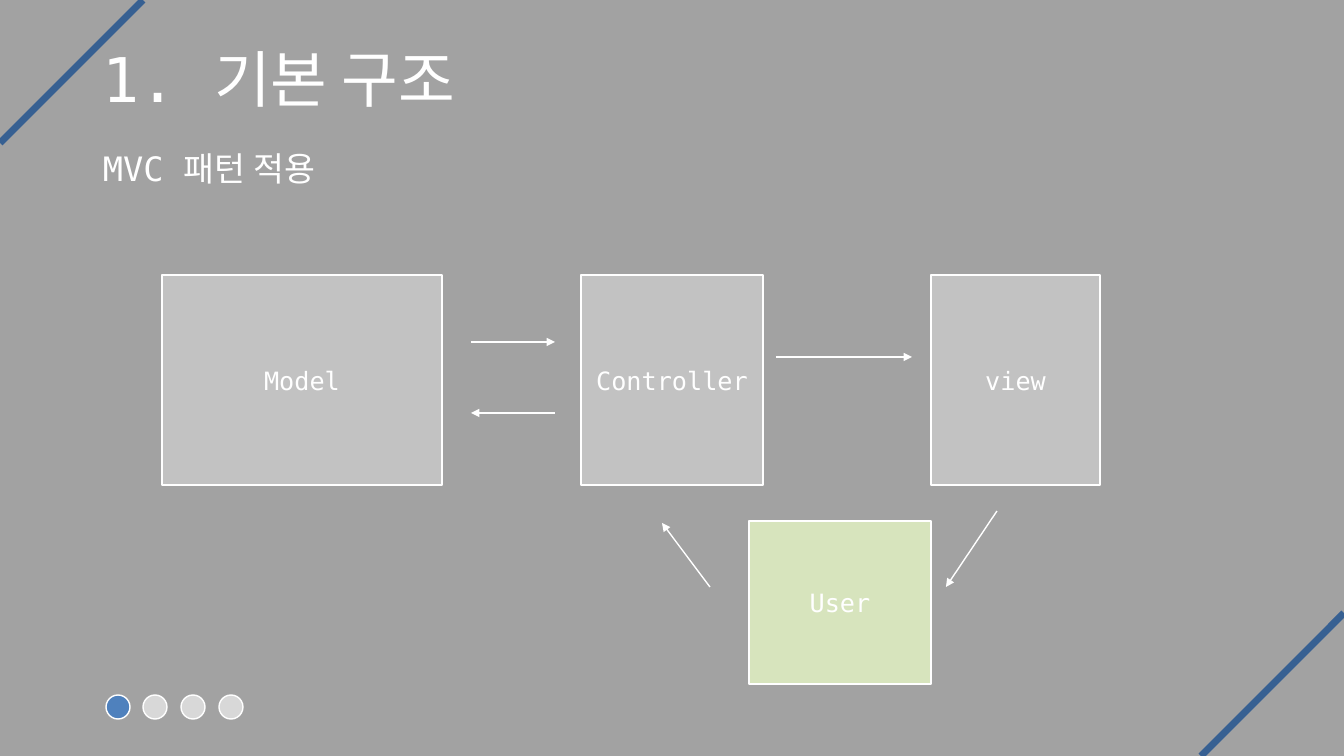
from lxml.etree import SubElement
from pptx import Presentation
from pptx.dml.color import RGBColor
from pptx.enum.shapes import MSO_CONNECTOR, MSO_SHAPE
from pptx.enum.text import MSO_ANCHOR, PP_ALIGN
from pptx.oxml.ns import qn
from pptx.util import Emu, Pt

W, H = 1344, 756
FONT = "DejaVu Sans Mono"
WHITE, GRAY, GREEN = "FFFFFF", "C2C2C2", "D7E4BD"
BACKGROUND, CORNER_BLUE = "A2A2A2", "376092"
DOT_ON, DOT_OFF = "4F81BD", "D8D8D8"

TITLE = ("1. 기본 구조", (93, 40, 1159, 86), 44, MSO_ANCHOR.MIDDLE, 0.9)
SUBTITLE = ("MVC 패턴 적용", (93, 143, 463, 50), 24, MSO_ANCHOR.TOP, 1.0)

BOXES = [
    ("Model", (162, 275, 280, 210), GRAY),
    ("Controller", (581, 275, 182, 210), GRAY),
    ("view", (931, 275, 169, 210), GRAY),
    ("User", (749, 521, 182, 163), GREEN),
]
ARROWS = [
    ((471, 342), (555, 342)),
    ((555, 413), (471, 413)),
    ((776, 357), (912, 357)),
    ((997, 511), (946, 587)),
    ((710, 587), (662, 523)),
]
CORNER = 143
CORNER_LINES = [((0, CORNER), (CORNER, 0)), ((W - CORNER, H), (W, H - CORNER))]
DOT_COUNT, DOT_LEFT, DOT_TOP, DOT_SIZE, DOT_SPAN = 4, 106, 695, 24, 113


def px(n):
    return Emu(round(n * 12192000 / W))


def rgb(color):
    return RGBColor.from_string(color)


def add_text(tf, text, size, anchor, align):
    tf.word_wrap = True
    tf.vertical_anchor = anchor
    p = tf.paragraphs[0]
    p.alignment = align
    r = p.add_run()
    r.text = text
    r.font.name = FONT
    r.font.size = Pt(size)
    r.font.color.rgb = rgb(WHITE)
    return p


def add_heading(slide, text, at, size, anchor, spacing):
    tf = slide.shapes.add_textbox(*map(px, at)).text_frame
    add_text(tf, text, size, anchor, PP_ALIGN.LEFT).line_spacing = spacing


def add_figure(slide, kind, at, fill):
    sp = slide.shapes.add_shape(kind, *map(px, at))
    sp.shadow.inherit = False
    sp.fill.solid()
    sp.fill.fore_color.rgb = rgb(fill)
    sp.line.color.rgb = rgb(WHITE)
    sp.line.width = Pt(1)
    return sp


def add_line(slide, start, end, color, width, arrow=False):
    line = slide.shapes.add_connector(MSO_CONNECTOR.STRAIGHT, *map(px, start + end))
    line.line.color.rgb = rgb(color)
    line.line.width = Pt(width)
    if arrow:
        SubElement(line.line._get_or_add_ln(), qn("a:tailEnd"), type="triangle")
    SubElement(line._element.spPr, qn("a:effectLst"))


def main():
    prs = Presentation()
    prs.slide_width, prs.slide_height = px(W), px(H)
    s = prs.slides.add_slide(prs.slide_layouts[6])
    s.background.fill.solid()
    s.background.fill.fore_color.rgb = rgb(BACKGROUND)

    for start, end in CORNER_LINES:
        add_line(s, start, end, CORNER_BLUE, 5)
    for heading in (TITLE, SUBTITLE):
        add_heading(s, *heading)
    for name, at, fill in BOXES:
        sp = add_figure(s, MSO_SHAPE.RECTANGLE, at, fill)
        add_text(sp.text_frame, name, 18, MSO_ANCHOR.MIDDLE, PP_ALIGN.CENTER)
    for start, end in ARROWS:
        add_line(s, start, end, WHITE, 1, arrow=True)
    for i in range(DOT_COUNT):
        left = DOT_LEFT + i * DOT_SPAN // (DOT_COUNT - 1)
        add_figure(s, MSO_SHAPE.OVAL, (left, DOT_TOP, DOT_SIZE, DOT_SIZE),
                   DOT_OFF if i else DOT_ON)

    prs.save("out.pptx")


if __name__ == "__main__":
    main()
